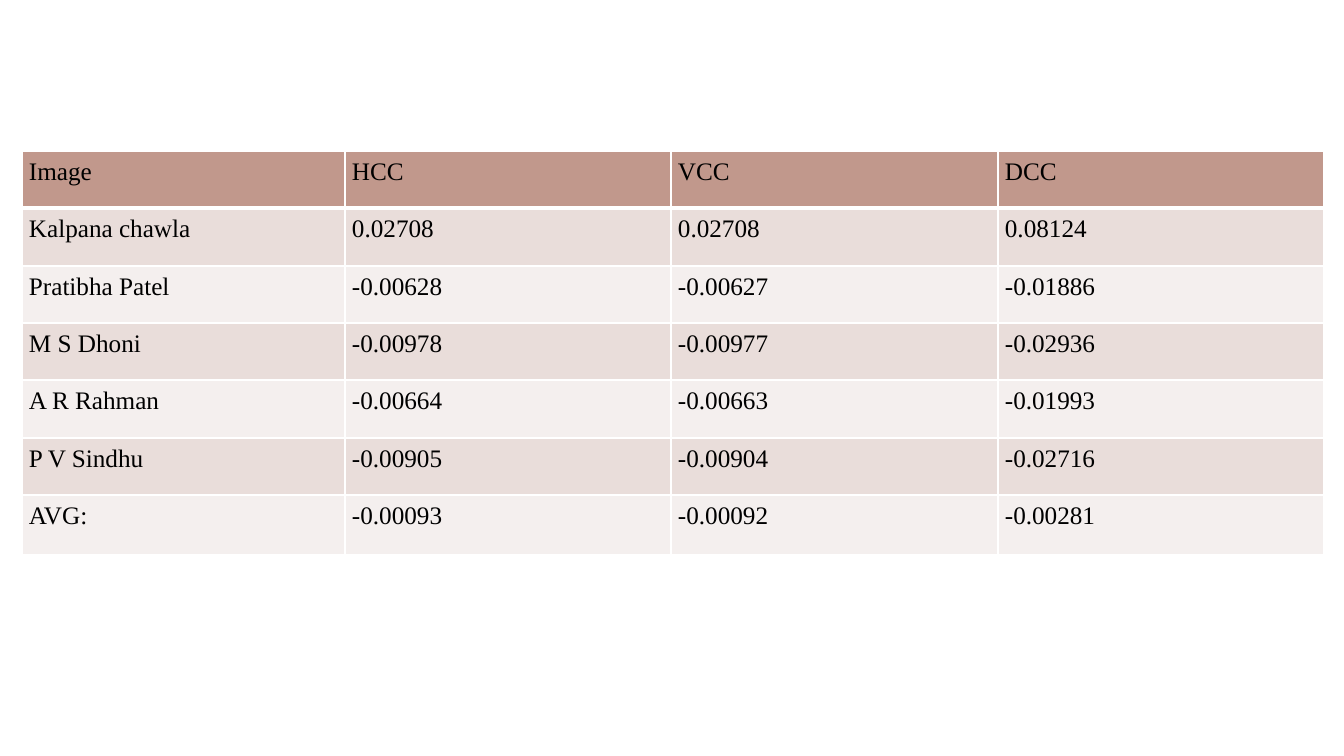
from itertools import pairwise
from lxml.etree import SubElement
from pptx import Presentation
from pptx.dml.color import RGBColor
from pptx.oxml.ns import qn
from pptx.util import Pt

HEADER = ("Image", "HCC", "VCC", "DCC")
RESULTS = [
    ("Kalpana chawla", "0.02708", "0.02708", "0.08124"),
    ("Pratibha Patel", "-0.00628", "-0.00627", "-0.01886"),
    ("M S Dhoni", "-0.00978", "-0.00977", "-0.02936"),
    ("A R Rahman", "-0.00664", "-0.00663", "-0.01993"),
    ("P V Sindhu", "-0.00905", "-0.00904", "-0.02716"),
    ("AVG:", "-0.00093", "-0.00092", "-0.00281"),
]
COLORS = {
    "header": "C1988C",
    "odd": "E9DDDA",
    "even": "F4EFEE",
    "rule": "FFFFFF",
    "text": "000000",
}
FONT, FONT_SIZE = "Times New Roman", 18
SLIDE_SIZE = (1344, 756)
COLUMN_EDGES = (22, 345, 671, 998, 1324)
ROW_EDGES = (151, 208, 266, 323, 380, 438, 495, 555)
INSET = 7
SCALE = 914400 / 100.8


def px(length):
    return round(length * SCALE)


def add_rule(cell, side, points):
    rule = SubElement(cell._tc.get_or_add_tcPr(), qn(f"a:ln{side}"), w=str(Pt(points)))
    fill = SubElement(rule, qn("a:solidFill"))
    SubElement(fill, qn("a:srgbClr"), val=COLORS["rule"])


def fill_cell(cell, words, row):
    cell.margin_left = cell.margin_right = px(INSET)
    cell.margin_top = cell.margin_bottom = px(INSET)
    thickness = {"L": 1, "R": 1, "T": 3 if row == 1 else 1, "B": 3 if row == 0 else 1}
    for side, points in thickness.items():
        add_rule(cell, side, points)
    band = "header" if row == 0 else "odd" if row % 2 else "even"
    cell.fill.solid()
    cell.fill.fore_color.rgb = RGBColor.from_string(COLORS[band])
    run = cell.text_frame.paragraphs[0].add_run()
    run.text = words
    run.font.name = FONT
    run.font.size = Pt(FONT_SIZE)
    run.font.bold = False
    run.font.color.rgb = RGBColor.from_string(COLORS["text"])


def main():
    deck = Presentation()
    deck.slide_width, deck.slide_height = map(px, SLIDE_SIZE)
    slide = deck.slides.add_slide(deck.slide_layouts[6])
    rows = [HEADER, *RESULTS]
    left, top = COLUMN_EDGES[0], ROW_EDGES[0]
    correlations = slide.shapes.add_table(
        len(rows), len(HEADER), px(left), px(top),
        px(COLUMN_EDGES[-1] - left), px(ROW_EDGES[-1] - top),
    ).table
    for column, (start, end) in zip(correlations.columns, pairwise(COLUMN_EDGES)):
        column.width = px(end - start)
    for table_row, (start, end) in zip(correlations.rows, pairwise(ROW_EDGES)):
        table_row.height = px(end - start)
    for row, entries in enumerate(rows):
        for column, words in enumerate(entries):
            fill_cell(correlations.cell(row, column), words, row)
    deck.save("out.pptx")


if __name__ == "__main__":
    main()
